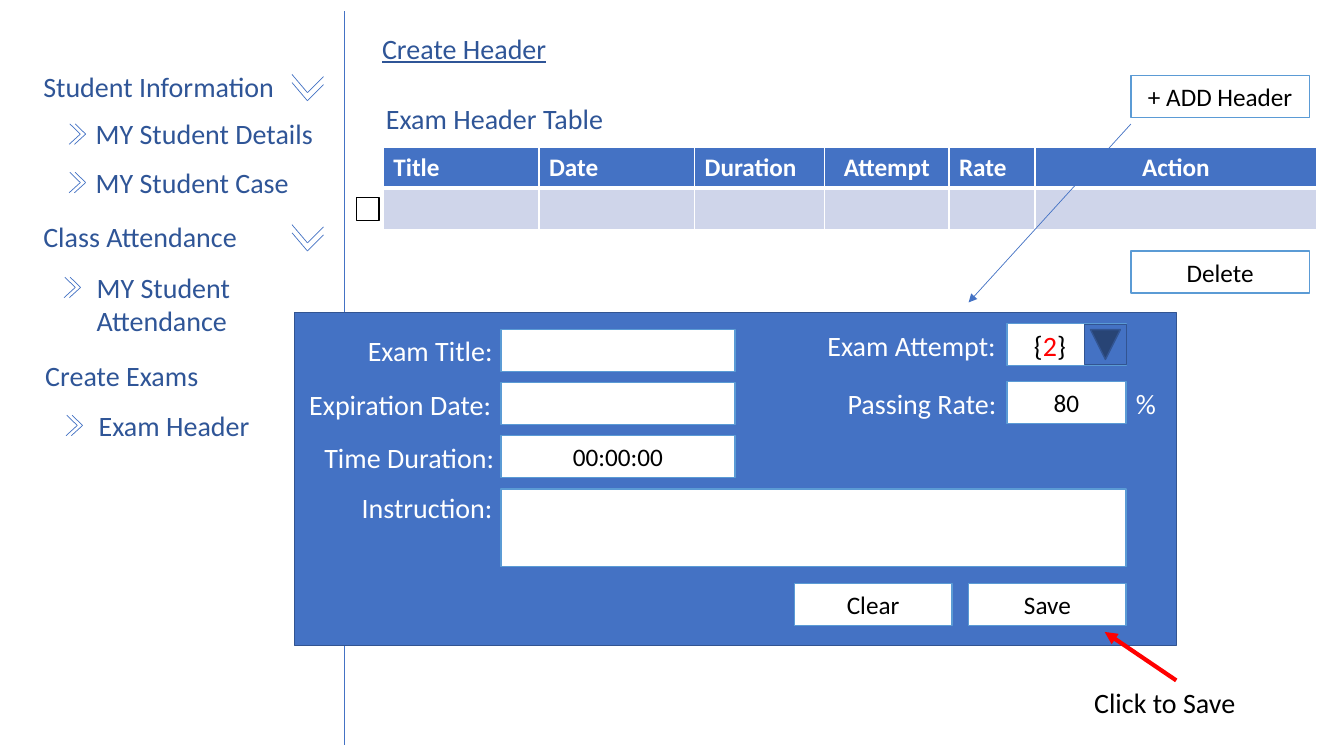
from lxml import etree
from pptx import Presentation
from pptx.dml.color import RGBColor
from pptx.enum import shapes as kinds, text as styles
from pptx.oxml import ns
from pptx.util import Pt

BLUE, NAVY, EDGE, SKY = "4472C4", "2F5597", "325491", "5B9BD5"
WHITE, BLACK, RED = "FFFFFF", "000000", "FF0000"
LEFT, CENTER = styles.PP_ALIGN.LEFT, styles.PP_ALIGN.CENTER
TOP, MIDDLE = styles.MSO_ANCHOR.TOP, styles.MSO_ANCHOR.MIDDLE
rgb = RGBColor.from_string


def write(holder, runs, size=20, align=LEFT, anchor=TOP, bold=False, underline=False):
    """Fill a shape or cell with one paragraph of (text, colour) runs."""
    frame = holder.text_frame
    frame.word_wrap = True
    frame.vertical_anchor = anchor
    paragraph = frame.paragraphs[0]
    paragraph.alignment = align
    paragraph.line_spacing = 1.0
    for words, color in runs:
        run = paragraph.add_run()
        run.text = words
        run.font.name = "Calibri"
        run.font.size = Pt(size)
        run.font.bold = bold
        run.font.underline = underline
        run.font.color.rgb = rgb(color)


def add_line(x1, y1, x2, y2, color=BLUE, width=0.5, arrow=False):
    line = slide.shapes.add_connector(
        kinds.MSO_CONNECTOR.STRAIGHT, Pt(x1), Pt(y1), Pt(x2), Pt(y2))
    line.line.color.rgb = rgb(color)
    line.line.width = Pt(width)
    if arrow:
        etree.SubElement(line.line._get_or_add_ln(), ns.qn("a:tailEnd"), type="triangle")
    etree.SubElement(line._element.spPr, ns.qn("a:effectLst"))


presentation = Presentation()
presentation.slide_width, presentation.slide_height = Pt(960), Pt(540)
slide = presentation.slides.add_slide(presentation.slide_layouts[5])

# Page title and divider
title = slide.shapes.title
title.left, title.top, title.width, title.height = Pt(265.7), Pt(18.7), Pt(213), Pt(31.5)
title.text_frame.auto_size = styles.MSO_AUTO_SIZE.NONE
write(title, [("Create Header", NAVY)], underline=True)
add_line(246.2, 7.9, 246.2, 532)

# Sidebar: text, left, top, width, x of the chevron tip
DOWN_TIP = 219.6
menu = [
    ("Student Information", 23.8, 46.1, 181, DOWN_TIP),
    ("MY Student Details", 61.2, 79.9, 181, 61.2),
    ("MY Student Case", 61.2, 114.5, 181, 61.2),
    ("Class Attendance", 23.8, 153.4, 181, DOWN_TIP),
    ("MY Student Attendance", 61.9, 189.4, 159, 57.6),
    ("Create Exams", 25.2, 252.7, 181, None),
    ("Exam Header", 63.4, 288, 159, 59),
]
for words, left, top, width, tip_x in menu:
    item = slide.shapes.add_textbox(Pt(left), Pt(top), Pt(width), Pt(31.5))
    write(item, [(words, NAVY)])
    if tip_x is None:
        continue
    if tip_x == DOWN_TIP:
        tip_y, arms, step = top + 25.9, [(11.5, -11.5), (-11, -13)], (0, -5.8)
    else:
        tip_y, arms, step = top + 15.9, [(-7.5, -7.3), (-8, 7.3)], (-3.8, 0)
    for repeat in range(2):
        x, y = tip_x + repeat * step[0], tip_y + repeat * step[1]
        for dx, dy in arms:
            add_line(x + dx, y + dy, x, y)

# Exam header table
heads = [("Title", 111.2, LEFT), ("Date", 111.2, LEFT), ("Duration", 93, LEFT),
         ("Attempt", 88.7, CENTER), ("Rate", 61.5, LEFT), ("Action", 201.4, CENTER)]
table = slide.shapes.add_table(2, len(heads), Pt(273.8), Pt(105.3), Pt(667), Pt(58.4)).table
for row in table.rows:
    row.height = Pt(29.2)
for column, (head, width, align) in enumerate(heads):
    table.columns[column].width = Pt(width)
    write(table.cell(0, column), [(head, WHITE)], 18, align, bold=True)
    for row, fill in enumerate([BLUE, "CFD5EA"]):
        cell = table.cell(row, column)
        cell.fill.solid()
        cell.fill.fore_color.rgb = rgb(fill)
        widths = {"lnL": 1, "lnR": 1, "lnT": 3 if row else 1, "lnB": 1 if row else 3}
        for position, (side, weight) in enumerate(widths.items()):
            border = etree.Element(ns.qn("a:" + side), w=str(Pt(weight)))
            paint = etree.SubElement(border, ns.qn("a:solidFill"))
            etree.SubElement(paint, ns.qn("a:srgbClr"), val=WHITE)
            cell._tc.get_or_add_tcPr().insert(position, border)

# Boxes: text, left, top, width, height, fill, line
boxes = [
    ("", 254.9, 141.1, 16, 16.3, WHITE, BLACK),
    ("Delete", 807.8, 179.3, 127.6, 30, WHITE, SKY),
    ("+ ADD Header", 807.8, 54, 127.6, 30, WHITE, SKY),
    ("", 210.2, 223.2, 630, 237.8, BLUE, EDGE),
    ("", 719.3, 231.1, 85, 30, WHITE, SKY),
    ("", 357.8, 235.4, 167.2, 30, WHITE, SKY),
    ("", 357.8, 273.4, 167.2, 30, WHITE, SKY),
    ("00:00:00", 357.8, 311.2, 167.2, 30, WHITE, SKY),
    ("", 357.8, 349.4, 446.5, 55.4, WHITE, SKY),
    ("80", 719.3, 272.7, 85, 30, WHITE, SKY),
    ("Clear", 567.4, 417, 112.5, 30, WHITE, SKY),
    ("Save", 691.9, 417, 112.5, 30, WHITE, SKY),
]
for words, left, top, width, height, fill, edge in boxes:
    box = slide.shapes.add_shape(
        kinds.MSO_SHAPE.RECTANGLE, Pt(left), Pt(top), Pt(width), Pt(height))
    box.shadow.inherit = False
    box.fill.solid()
    box.fill.fore_color.rgb = rgb(fill)
    box.line.color.rgb = rgb(edge)
    box.line.width = Pt(1)
    if words:
        write(box, [(words, BLACK)], 18, CENTER, MIDDLE)

dropdown = slide.shapes.add_shape(
    kinds.MSO_SHAPE.ACTION_BUTTON_BACK_OR_PREVIOUS, Pt(775.4), Pt(231.1), Pt(28.4), Pt(29.9))
dropdown.rotation = 270
dropdown.shadow.inherit = False
dropdown.fill.solid()
dropdown.fill.fore_color.rgb = rgb(BLUE)
dropdown.line.color.rgb = rgb(EDGE)
dropdown.line.width = Pt(1)

# Labels: runs, left, top, width, alignment
labels = [
    ([("Exam Header Table", NAVY)], 268.6, 69.1, 213, LEFT),
    ([("Exam Title:", WHITE)], 255.6, 234.7, 110, LEFT),
    ([("Expiration Date:", WHITE)], 213.8, 272.9, 151, LEFT),
    ([("Time Duration:", WHITE)], 224.6, 311, 142, LEFT),
    ([("Instruction:", WHITE)], 251.3, 347, 114, LEFT),
    ([("Exam Attempt:", WHITE)], 583.9, 231.1, 137, LEFT),
    ([("Passing Rate:", WHITE)], 598.3, 272.2, 127, LEFT),
    ([("%", WHITE)], 804.2, 272.2, 34, LEFT),
    ([("{", BLACK), ("2", RED), ("}", BLACK)], 731.5, 231.1, 44, LEFT),
    ([("Click to Save", BLACK)], 731.5, 486, 200.9, CENTER),
]
for runs, left, top, width, align in labels:
    label = slide.shapes.add_textbox(Pt(left), Pt(top), Pt(width), Pt(31.5))
    write(label, runs, align=align)

# Arrows from the add button to the form, and from the hint to Save
add_line(807.8, 88.6, 691.9, 216, arrow=True)
add_line(840.2, 486, 789.1, 451.4, RED, 3, arrow=True)

presentation.save("out.pptx")
